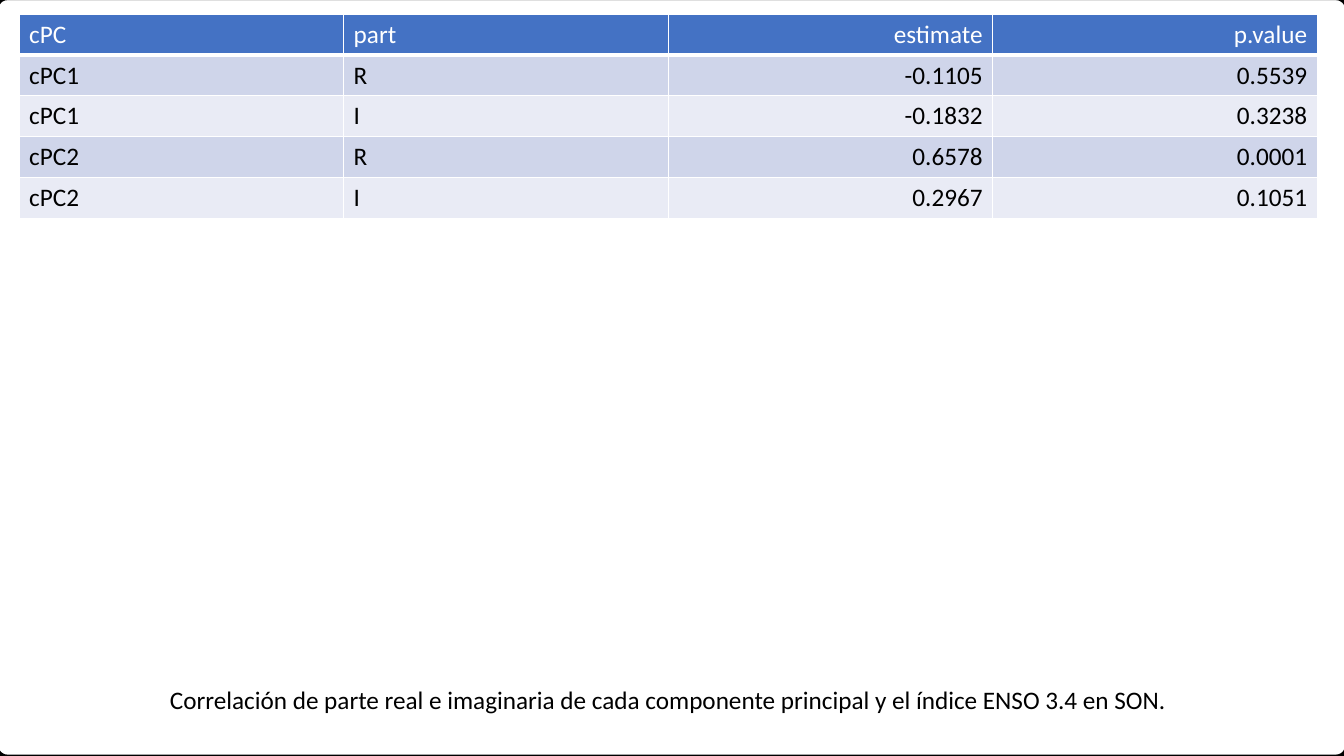
from lxml import etree
from pptx import Presentation
from pptx.dml.color import RGBColor
from pptx.enum.shapes import MSO_SHAPE
from pptx.enum.text import PP_ALIGN
from pptx.oxml.ns import qn
from pptx.util import Pt

ROUNDED = MSO_SHAPE.ROUNDED_RECTANGLE
LEFT, CENTER, RIGHT = PP_ALIGN.LEFT, PP_ALIGN.CENTER, PP_ALIGN.RIGHT

COLORS = {
    "header": "4472C4",
    "odd_row": "CFD5EA",
    "even_row": "E9EBF5",
    "light": "FFFFFF",
    "dark": "000000",
}
FONT = "Calibri"
FONT_SIZE = 18
MARGIN_LEFT = 13.7
CONTENT_WIDTH = 927.2
ROW_HEIGHT = 29.2

CORRELATIONS = [
    ("cPC", "part", "estimate", "p.value"),
    ("cPC1", "R", "-0.1105", "0.5539"),
    ("cPC1", "I", "-0.1832", "0.3238"),
    ("cPC2", "R", "0.6578", "0.0001"),
    ("cPC2", "I", "0.2967", "0.1051"),
]
COLUMN_ALIGNMENTS = (LEFT, LEFT, RIGHT, RIGHT)
CAPTION = ("Correlación de parte real e imaginaria de cada componente principal "
           "y el índice ENSO 3.4 en SON.")


def rgb(name):
    return RGBColor.from_string(COLORS[name])


def write(text_frame, text, color, alignment):
    text_frame.text = text
    paragraph = text_frame.paragraphs[0]
    paragraph.alignment = alignment
    font = paragraph.runs[0].font
    font.name = FONT
    font.size = Pt(FONT_SIZE)
    font.bold = False
    font.color.rgb = rgb(color)


def set_borders(cell, widths):
    """Draw light borders; widths maps the edges L, R, T, B to points."""
    properties = cell._tc.get_or_add_tcPr()
    for position, (edge, width) in enumerate(widths.items()):
        border = etree.Element(qn(f"a:ln{edge}"), w=str(Pt(width)))
        fill = etree.SubElement(border, qn("a:solidFill"))
        etree.SubElement(fill, qn("a:srgbClr"), val=COLORS["light"])
        properties.insert(position, border)


def add_frame(slide):
    frame = slide.shapes.add_shape(ROUNDED, Pt(-4), Pt(-2.9), Pt(967.7), Pt(544.9))
    frame.adjustments[0] = 0.017
    frame.shadow.inherit = False
    frame.fill.background()
    frame.line.color.rgb = rgb("dark")
    frame.line.width = Pt(6)


def add_correlation_table(slide):
    column_count = len(COLUMN_ALIGNMENTS)
    table = slide.shapes.add_table(
        len(CORRELATIONS), column_count, Pt(MARGIN_LEFT), Pt(10.1),
        Pt(CONTENT_WIDTH), Pt(ROW_HEIGHT * len(CORRELATIONS))).table
    for column in table.columns:
        column.width = Pt(CONTENT_WIDTH / column_count)
    for row_index, values in enumerate(CORRELATIONS):
        table.rows[row_index].height = Pt(ROW_HEIGHT)
        is_header = row_index == 0
        band = "header" if is_header else "odd_row" if row_index % 2 else "even_row"
        text_color = "light" if is_header else "dark"
        widths = {"L": 1, "R": 1, "T": 3 if row_index == 1 else 1, "B": 3 if is_header else 1}
        for column_index, value in enumerate(values):
            cell = table.cell(row_index, column_index)
            cell.fill.solid()
            cell.fill.fore_color.rgb = rgb(band)
            write(cell.text_frame, value, text_color, COLUMN_ALIGNMENTS[column_index])
            set_borders(cell, widths)


def add_caption(slide):
    caption = slide.shapes.add_textbox(Pt(MARGIN_LEFT), Pt(485.3), Pt(CONTENT_WIDTH), Pt(40.3))
    caption.text_frame.word_wrap = True
    write(caption.text_frame, CAPTION, "dark", CENTER)


def main():
    presentation = Presentation()
    presentation.slide_width = Pt(960)
    presentation.slide_height = Pt(540)
    slide = presentation.slides.add_slide(presentation.slide_layouts[6])
    slide.background.fill.solid()
    slide.background.fill.fore_color.rgb = rgb("light")
    add_frame(slide)
    add_correlation_table(slide)
    add_caption(slide)
    presentation.save("out.pptx")


if __name__ == "__main__":
    main()
